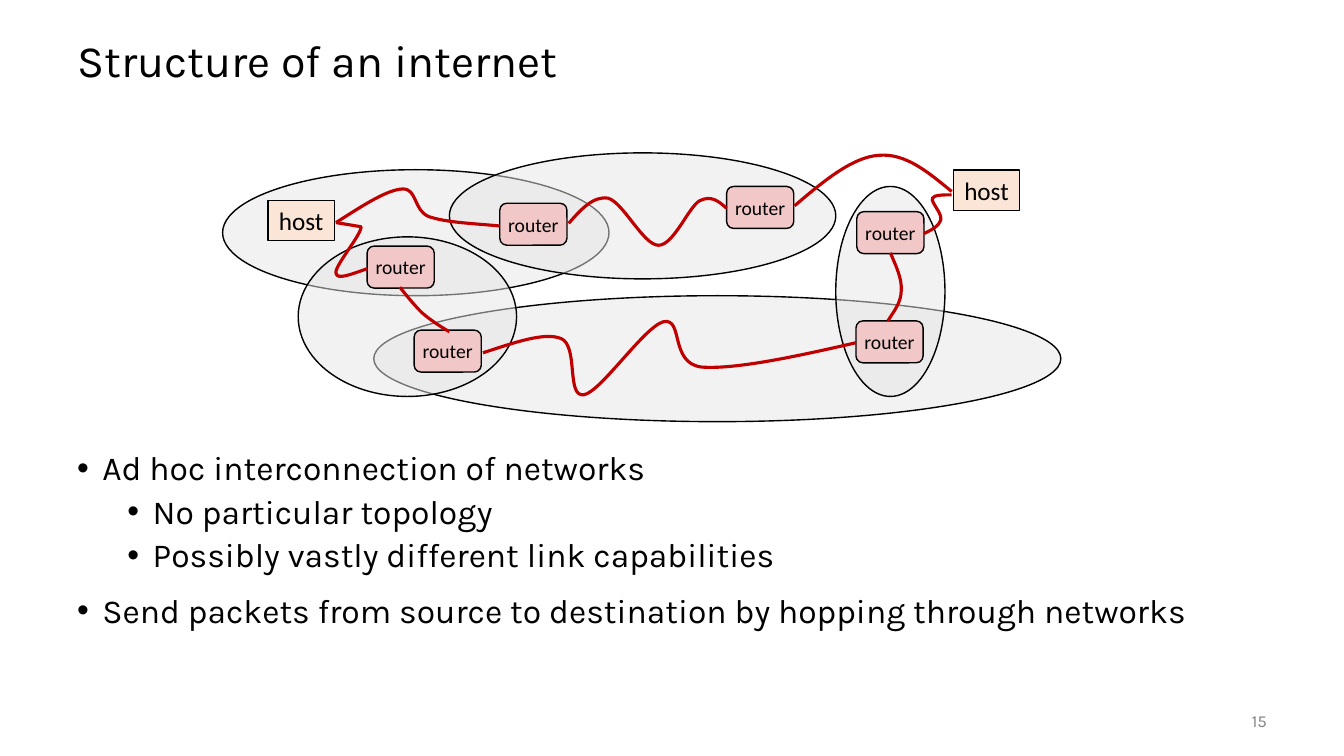
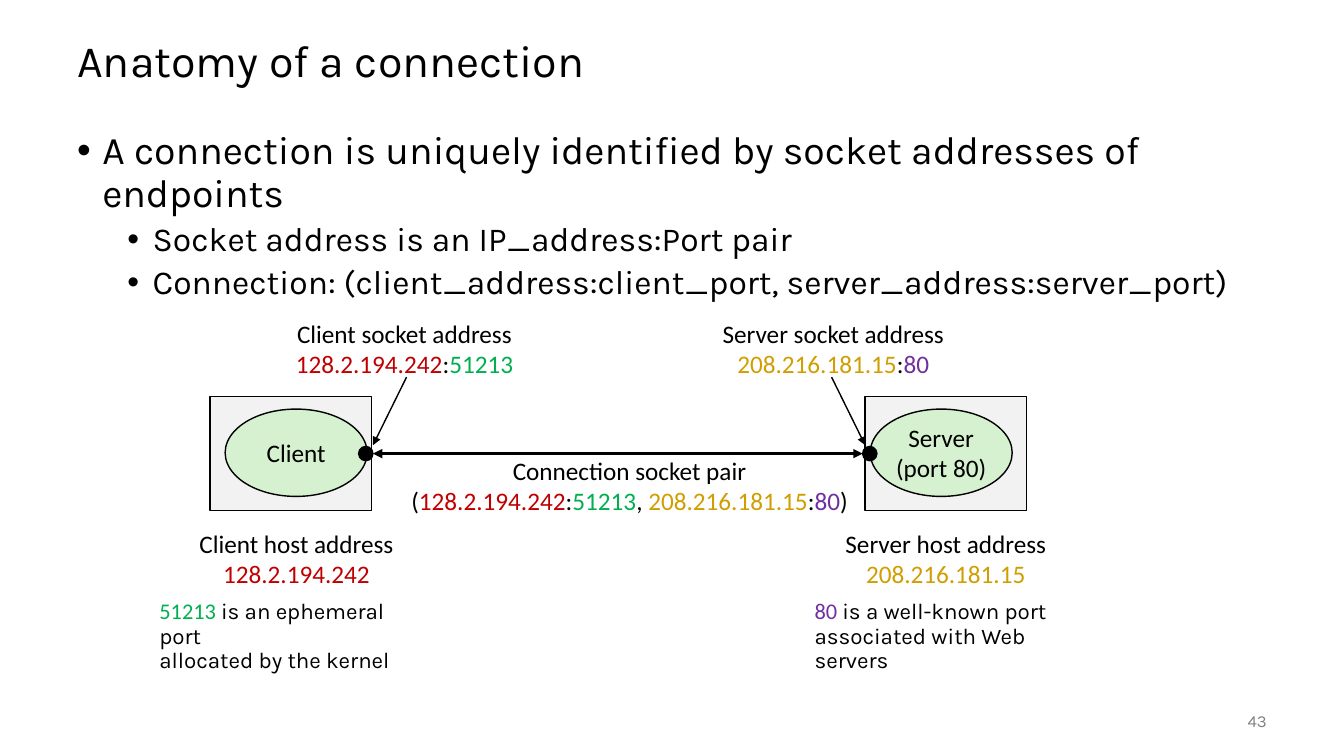
from dataclasses import dataclass
from typing import Any, Optional, Sequence

from pptx import Presentation
from pptx.dml.color import RGBColor
from pptx.enum.shapes import MSO_CONNECTOR as Connector, MSO_SHAPE as Preset
from pptx.enum.text import MSO_ANCHOR as Anchor, MSO_AUTO_SIZE as AutoSize, PP_ALIGN as Align
from pptx.oxml import parse_xml
from pptx.oxml.ns import nsdecls, qn
from pptx.util import Emu, Inches, Pt

COLUMNS, ROWS = 160, 90
SLIDE_WIDTH, SLIDE_HEIGHT = Inches(40 / 3), Inches(7.5)
CELL = SLIDE_HEIGHT / ROWS
CURVE_STEPS = 100
HEADING_FONT, LABEL_FONT = "Karla", "Calibri"
BLACK, GREY, RED = "000000", "808080", "C00000"
GREEN, GOLD, PURPLE = "00B050", "D09E00", "7030A0"
NETWORK_FILL, ROUTER_FILL, HOST_FILL = "E6E6E6", "F1C7C7", "FBE5D6"
MACHINE_FILL, PROCESS_FILL = "F2F2F2", "D5F1CF"

Point = tuple[float, float]


@dataclass(frozen=True)
class Area:
    column: float
    row: float
    columns: float
    rows: float

    def emu(self) -> tuple[Emu, Emu, Emu, Emu]:
        return cells(self.column), cells(self.row), cells(self.columns), cells(self.rows)


@dataclass(frozen=True)
class Span:
    text: str
    colour: str = BLACK
    font: str = LABEL_FONT


@dataclass(frozen=True)
class Bullet:
    text: str
    size: int
    level: int = 0


@dataclass(frozen=True)
class Label:
    area: Area
    lines: Sequence[Sequence[Span]]


Curve = tuple[Point, ...]

NETWORKS = (
    Area(26.5, 20.2, 46, 15),
    Area(44.5, 35.2, 81.8, 15),
    Area(53.5, 18.2, 46, 15),
    Area(35.5, 28.2, 26, 19),
    Area(99.5, 22.2, 13, 25),
)
ROUTERS = ((43.7, 29.3), (49.3, 39.3), (59.5, 24.2), (86.5, 22.2), (101.9, 38.2), (102, 25.2))
HOSTS = ((113.5, 20.25), (31.9, 23.85))
LINKS: tuple[Curve, ...] = (
    ((40, 26.5), (41, 26.67), (42, 26.83), (43, 27), (43, 28), (39.8, 31.7), (40, 32.5),
     (40.1, 33.4), (41.9, 32.6), (43.7, 32)),
    ((40, 26.5), (43, 24.6), (46, 22.6), (47.9, 22.5), (49.7, 22.4), (49.2, 25.1),
     (51.1, 25.8), (53.2, 26.5), (56.3, 26.6), (59.5, 26.9)),
    ((47.6, 34.2), (48.5, 35.3), (49.2, 36.2), (50.2, 37.2), (51.1, 38), (52.3, 38.8),
     (53.5, 39.5)),
    ((67.7, 26.6), (69.1, 25), (70.6, 23.3), (72.4, 23.6), (74.2, 24.1), (76.6, 29.2),
     (78.4, 29.2), (80.2, 29.2), (82, 24.6), (83.3, 23.9), (84.7, 23.2), (85.6, 24),
     (86.5, 24.8)),
    ((94.6, 24.5), (98, 21.6), (101.5, 18.7), (104.6, 18.5), (107.8, 18.2), (110.5, 20.5),
     (113.3, 22.8)),
    ((57.5, 42), (61.2, 40.8), (64.8, 39.5), (66.8, 40.3), (68.9, 41.2), (67.4, 47.3),
     (69.5, 47), (71.5, 46.7), (76.7, 38.9), (79, 38.3), (81.4, 37.8), (79.7, 43.2),
     (83.5, 43.7), (87.4, 44), (94.6, 42.5), (101.9, 40.8)),
    ((105.7, 38.2), (106.4, 37.1), (107.3, 36), (107.3, 34.6), (107.4, 33.2), (106.7, 31.7),
     (106, 30.1)),
    ((110, 27.8), (110.9, 27.4), (111.8, 26.9), (112, 26.2), (112.2, 25.4), (110.8, 24.1),
     (111, 23.6), (111.2, 23.2), (112.3, 23.2), (113.3, 23.2)),
)

CLIENT_ADDRESS, CLIENT_PORT = Span("128.2.194.242", RED), Span("51213", GREEN)
SERVER_ADDRESS, SERVER_PORT = Span("208.216.181.15", GOLD), Span("80", PURPLE)
COLON = Span(":")
CLIENT_SOCKET = (CLIENT_ADDRESS, COLON, CLIENT_PORT)
SERVER_SOCKET = (SERVER_ADDRESS, COLON, SERVER_PORT)
PAIR_LABEL = Label(
    Area(47.3, 53.5, 55.3, 8.5),
    ((Span("Connection socket pair"),),
     (Span("("), *CLIENT_SOCKET, Span(", "), *SERVER_SOCKET, Span(")"))),
)
ADDRESS_LABELS = (
    Label(Area(33.8, 37.2, 28.7, 8.5), ((Span("Client socket address"),), CLIENT_SOCKET)),
    Label(Area(82.2, 37.2, 34, 8.5), ((Span("Server socket address"),), SERVER_SOCKET)),
    Label(Area(22.2, 62.2, 26.2, 8.5), ((Span("Client host address"),), (CLIENT_ADDRESS,))),
    Label(Area(99.1, 62.2, 27, 8.5), ((Span("Server host address"),), (SERVER_ADDRESS,))),
)
PORT_NOTES = (
    Label(Area(17.8, 70.9, 33.6, 7.1),
          ((Span("51213 ", GREEN), Span("is an ephemeral port", font=HEADING_FONT)),
           (Span("allocated by the kernel", font=HEADING_FONT),))),
    Label(Area(95.8, 70.9, 33.5, 7.1),
          ((Span("80 ", PURPLE), Span("is a well-known port", font=HEADING_FONT)),
           (Span("associated with Web servers", font=HEADING_FONT),))),
)


def cells(count: float) -> Emu:
    return Emu(round(count * CELL))


def rgb(colour: str) -> RGBColor:
    return RGBColor.from_string(colour)


def set_font(font: Any, name: str, size: float, colour: str) -> None:
    font.name, font.size = name, Pt(size)
    font.color.rgb = rgb(colour)


def write_lines(text_frame: Any, lines: Sequence[Sequence[Span]], size: float,
                align: Align = Align.CENTER, spacing: Optional[float] = None) -> None:
    for index, spans in enumerate(lines):
        paragraph = text_frame.paragraphs[0] if index == 0 else text_frame.add_paragraph()
        paragraph.alignment = align
        paragraph.line_spacing = spacing
        for span in spans:
            run = paragraph.add_run()
            run.text = span.text
            set_font(run.font, span.font, size, span.colour)


def add_label(slide: Any, label: Label, size: float = 18, align: Align = Align.CENTER,
              anchor: Anchor = Anchor.MIDDLE, wrap: bool = False,
              spacing: Optional[float] = None) -> None:
    text_frame = slide.shapes.add_textbox(*label.area.emu()).text_frame
    text_frame.word_wrap = wrap
    text_frame.vertical_anchor = anchor
    write_lines(text_frame, label.lines, size, align, spacing)


def add_titled_slide(presentation: Any, title: str, number: str) -> Any:
    slide = presentation.slides.add_slide(presentation.slide_layouts[5])
    heading = slide.shapes.title
    heading.left, heading.top, heading.width, heading.height = Area(8, 3, 144, 9).emu()
    text_frame = heading.text_frame
    text_frame.text = title
    text_frame.auto_size = AutoSize.NONE
    text_frame.vertical_anchor = Anchor.MIDDLE
    paragraph = text_frame.paragraphs[0]
    paragraph.alignment = Align.LEFT
    paragraph.line_spacing = 0.9
    set_font(paragraph.runs[0].font, HEADING_FONT, 32, BLACK)
    footer = Label(Area(140, 83.4, 12, 4.8), ((Span(number, GREY, HEADING_FONT),),))
    add_label(slide, footer, 12, Align.RIGHT, wrap=True)
    return slide


def add_bullets(slide: Any, area: Area, bullets: Sequence[Bullet]) -> None:
    text_frame = slide.shapes.add_textbox(*area.emu()).text_frame
    text_frame.word_wrap = True
    for index, bullet in enumerate(bullets):
        paragraph = text_frame.paragraphs[0] if index == 0 else text_frame.add_paragraph()
        paragraph.text = bullet.text
        paragraph.level = bullet.level
        paragraph.line_spacing = 0.9
        if index:
            paragraph.space_before = Pt(5 if bullet.level else 14)
        properties = paragraph._p.get_or_add_pPr()
        properties.set("marL", str(cells(3 + 6 * bullet.level)))
        properties.set("indent", str(-cells(3)))
        properties.append(parse_xml(f'<a:buFont {nsdecls("a")} typeface="Arial"/>'))
        properties.append(parse_xml(f'<a:buChar {nsdecls("a")} char="•"/>'))
        set_font(paragraph.runs[0].font, HEADING_FONT, bullet.size, BLACK)


def add_box(slide: Any, preset: Preset, area: Area, fill: str,
            lines: Sequence[str] = (), size: float = 18) -> Any:
    shape = slide.shapes.add_shape(preset, *area.emu())
    shape.shadow.inherit = False
    shape.fill.solid()
    shape.fill.fore_color.rgb = rgb(fill)
    shape.line.color.rgb = rgb(BLACK)
    shape.line.width = Pt(1)
    if lines:
        shape.text_frame.word_wrap = False
        shape.text_frame.vertical_anchor = Anchor.MIDDLE
        write_lines(shape.text_frame, [(Span(line),) for line in lines], size)
    return shape


def add_network(slide: Any, area: Area) -> None:
    shape = add_box(slide, Preset.OVAL, area, NETWORK_FILL)
    colour = shape.element.spPr.find(qn("a:solidFill")).find(qn("a:srgbClr"))
    colour.append(parse_xml(f'<a:alpha {nsdecls("a")} val="50000"/>'))


def add_link(slide: Any, curve: Curve) -> None:
    start, *points = [(round(x * CURVE_STEPS), round(y * CURVE_STEPS)) for x, y in curve]
    builder = slide.shapes.build_freeform(*start, scale=CELL / CURVE_STEPS)
    builder.add_line_segments(points, close=False)
    shape = builder.convert_to_shape()
    shape.shadow.inherit = False
    shape.fill.background()
    shape.line.color.rgb = rgb(RED)
    shape.line.width = Pt(2.25)
    segments = list(shape.element.iter(qn("a:lnTo")))
    for first in range(0, len(segments), 3):
        bezier = parse_xml(f'<a:cubicBezTo {nsdecls("a")}/>')
        segments[first].addprevious(bezier)
        for segment in segments[first:first + 3]:
            bezier.append(segment[0])
            segment.getparent().remove(segment)


def add_arrow(slide: Any, start: Point, end: Point, width: float, ends: Sequence[str]) -> None:
    connector = slide.shapes.add_connector(
        Connector.STRAIGHT, *(cells(value) for value in (*start, *end)))
    connector.line.color.rgb = rgb(BLACK)
    connector.line.width = Pt(width)
    properties = connector.element.spPr
    for name in ends:
        arrowhead = parse_xml(f'<a:{name} {nsdecls("a")} type="triangle"/>')
        properties.find(qn("a:ln")).append(arrowhead)
    properties.append(parse_xml(f'<a:effectLst {nsdecls("a")}/>'))


def draw_internet(presentation: Any) -> None:
    slide = add_titled_slide(presentation, "Structure of an internet", "15")
    add_bullets(slide, Area(8, 53.2, 144, 27.8), (
        Bullet("Ad hoc interconnection of networks", 24),
        Bullet("No particular topology", 24, 1),
        Bullet("Possibly vastly different link capabilities", 24, 1),
        Bullet("Send packets from source to destination by hopping through networks", 24),
    ))
    for area in NETWORKS:
        add_network(slide, area)
    for column, row in ROUTERS:
        add_box(slide, Preset.ROUNDED_RECTANGLE, Area(column, row, 8, 5), ROUTER_FILL,
                ("router",), 14)
    for column, row in HOSTS:
        add_box(slide, Preset.RECTANGLE, Area(column, row, 7.9, 4.8), HOST_FILL, ("host",))
    for curve in LINKS:
        add_link(slide, curve)


def draw_connection(presentation: Any) -> None:
    slide = add_titled_slide(presentation, "Anatomy of a connection", "43")
    add_bullets(slide, Area(8, 15, 146.6, 66), (
        Bullet("A connection is uniquely identified by socket addresses of endpoints", 28),
        Bullet("Socket address is an IP_address:Port pair", 24, 1),
        Bullet("Connection: (client_address:client_port, server_address:server_port)", 24, 1),
    ))
    for column in (103, 25):
        add_box(slide, Preset.RECTANGLE, Area(column, 47.2, 19.2, 13.6), MACHINE_FILL)
    add_label(slide, PAIR_LABEL)
    for column, lines in ((103.6, ("Server", "(port 80)")), (26.8, ("Client",))):
        add_box(slide, Preset.OVAL, Area(column, 48.7, 16.9, 10.4), PROCESS_FILL, lines)
    add_arrow(slide, (44.4, 54), (102.7, 54), 2.25, ("headEnd", "tailEnd"))
    for column in (42.7, 102.7):
        add_box(slide, Preset.OVAL, Area(column, 53.15, 1.7, 1.7), BLACK)
    for label in ADDRESS_LABELS:
        add_label(slide, label)
    for start, end in ((48.4, 44.4), (99, 103)):
        add_arrow(slide, (start, 44.9), (end, 53), 1, ("tailEnd",))
    for note in PORT_NOTES:
        add_label(slide, note, 16, Align.LEFT, Anchor.TOP, True, 0.9)


def main() -> None:
    presentation = Presentation()
    presentation.slide_width, presentation.slide_height = SLIDE_WIDTH, SLIDE_HEIGHT
    draw_internet(presentation)
    draw_connection(presentation)
    presentation.save("out.pptx")


if __name__ == "__main__":
    main()
